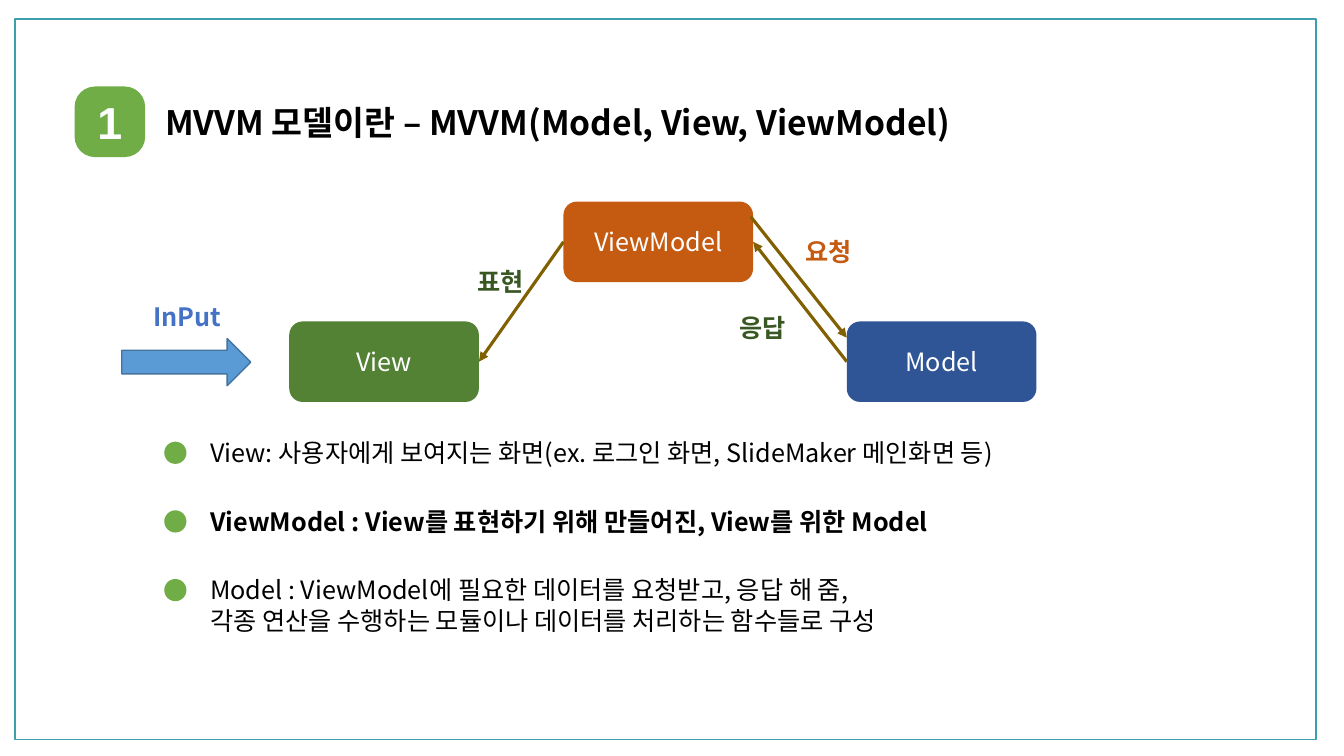
from dataclasses import dataclass

from lxml.etree import SubElement
from pptx import Presentation
from pptx.dml.color import RGBColor
from pptx.enum.shapes import MSO_CONNECTOR as CXN, MSO_SHAPE as SHP
from pptx.enum.text import MSO_ANCHOR, MSO_AUTO_SIZE, PP_ALIGN
from pptx.oxml.ns import qn
from pptx.shapes.autoshape import Shape
from pptx.shapes.connector import Connector
from pptx.slide import Slide
from pptx.util import Cm, Pt


@dataclass(frozen=True)
class Theme:
    font: str = "Noto Sans CJK KR"
    badge_font: str = "Arial"
    title_size: float = 24
    badge_size: float = 32
    body_size: float = 18
    thin: float = 1
    thick: float = 2.25
    white: str = "FFFFFF"
    black: str = "000000"
    frame: str = "3D9FAC"
    accent: str = "70AD47"
    view: str = "548235"
    view_model: str = "C55A11"
    model: str = "2F5597"
    link: str = "806000"
    reply: str = "385723"
    arrow: str = "5B9BD5"
    arrow_line: str = "43739E"
    input: str = "4472C4"


T = Theme()


@dataclass(frozen=True)
class Box:
    x: float
    y: float
    w: float
    h: float


@dataclass(frozen=True)
class Node:
    text: str
    x: float
    y: float
    color: str


@dataclass(frozen=True)
class Label:
    text: str
    box: Box
    color: str = T.black
    size: float = T.body_size
    bold: bool = True


NODE_W, NODE_H = 4.78, 2.03
TOP, LEFT, BOTTOM, RIGHT = range(4)
NODES = (
    Node("View", 7.29, 8.1, T.view),
    Node("ViewModel", 14.2, 5.08, T.view_model),
    Node("Model", 21.34, 8.1, T.model),
)
LABELS = (
    Label("MVVM 모델이란 – MVVM(Model, View, ViewModel)",
          Box(3.91, 2.44, 22.76, 1.27), size=T.title_size),
    Label("InPut", Box(3.61, 7.47, 21.18, 1.02), T.input),
    Label("표현", Box(11.79, 6.58, 4.7, 1.02), T.reply),
    Label("요청", Box(20.04, 5.82, 4.7, 1.02), T.view_model),
    Label("응답", Box(18.39, 7.75, 4.7, 1.02), T.reply),
)
BULLET_Y, BULLET_STEP = 10.9, 1.73
DOT_X, DOT_DY, DOT_SIZE = 4.14, 0.23, 0.56
BULLETS = (
    ("View: 사용자에게 보여지는 화면(ex. 로그인 화면, SlideMaker 메인화면 등)", False),
    ("ViewModel : View를 표현하기 위해 만들어진, View를 위한 Model", True),
    ("Model : ViewModel에 필요한 데이터를 요청받고, 응답 해 줌,\n"
     "각종 연산을 수행하는 모듈이나 데이터를 처리하는 함수들로 구성", False),
)


def write(shape: Shape, text: str, size: float, color: str, bold: bool = False,
          font: str = T.font, align: PP_ALIGN = PP_ALIGN.LEFT) -> None:
    tf = shape.text_frame
    tf.word_wrap = True
    for i, line in enumerate(text.split("\n")):
        p = tf.add_paragraph() if i else tf.paragraphs[0]
        p.alignment = align
        r = p.add_run()
        r.text = line
        for name, value in {"name": font, "size": Pt(size), "bold": bold}.items():
            setattr(r.font, name, value)
        r.font.color.rgb = RGBColor.from_string(color)
        SubElement(r.font._element, qn("a:ea"), typeface=font)


def add_shape(s: Slide, kind: SHP, box: Box, fill: str | None = None,
              line: str | None = None) -> Shape:
    sp = s.shapes.add_shape(kind, Cm(box.x), Cm(box.y), Cm(box.w), Cm(box.h))
    sp.shadow.inherit = False
    if fill:
        sp.fill.solid()
        sp.fill.fore_color.rgb = RGBColor.from_string(fill)
    else:
        sp.fill.background()
    if line:
        sp.line.color.rgb = RGBColor.from_string(line)
        sp.line.width = Pt(T.thin)
    else:
        sp.line.fill.background()
    return sp


def add_label(s: Slide, label: Label) -> None:
    b = label.box
    sp = s.shapes.add_textbox(Cm(b.x), Cm(b.y), Cm(b.w), Cm(b.h))
    write(sp, label.text, label.size, label.color, label.bold)
    sp.text_frame.auto_size = MSO_AUTO_SIZE.SHAPE_TO_FIT_TEXT


def add_centred(s: Slide, box: Box, fill: str, text: str, size: float,
                bold: bool = False, font: str = T.font) -> Shape:
    sp = add_shape(s, SHP.ROUNDED_RECTANGLE, box, fill)
    sp.text_frame.vertical_anchor = MSO_ANCHOR.MIDDLE
    write(sp, text, size, T.white, bold, font, PP_ALIGN.CENTER)
    return sp


def add_link(s: Slide, x1: float = 0, y1: float = 0, x2: float = 0,
             y2: float = 0) -> Connector:
    cx = s.shapes.add_connector(CXN.STRAIGHT, Cm(x1), Cm(y1), Cm(x2), Cm(y2))
    cx.line.color.rgb = RGBColor.from_string(T.link)
    cx.line.width = Pt(T.thick)
    SubElement(cx.line._get_or_add_ln(), qn("a:tailEnd"), type="triangle")
    SubElement(cx._element.spPr, qn("a:effectLst"))
    return cx


def join(s: Slide, start: Shape, end: Shape) -> None:
    cx = add_link(s)
    cx.begin_connect(start, LEFT)
    cx.end_connect(end, RIGHT)


def main() -> None:
    prs = Presentation()
    prs.slide_width, prs.slide_height = Cm(33.87), Cm(19.05)
    s = prs.slides.add_slide(prs.slide_layouts[6])

    add_shape(s, SHP.RECTANGLE, Box(0.38, 0.48, 32.79, 18.16), line=T.frame)
    badge = add_centred(s, Box(1.88, 2.18, 1.78, 1.78), T.accent, "1",
                        T.badge_size, True, T.badge_font)
    badge.adjustments[0] = 0.29

    view, view_model, model = (
        add_centred(s, Box(n.x, n.y, NODE_W, NODE_H), n.color, n.text, T.body_size)
        for n in NODES
    )
    join(s, model, view_model)
    join(s, view_model, view)
    add_link(s, 18.92, 5.46, 21.34, 8.51)

    for i, (text, bold) in enumerate(BULLETS):
        y = BULLET_Y + i * BULLET_STEP
        height = 1.02 + 0.78 * text.count("\n")
        add_label(s, Label(text, Box(5.05, y, 26.11, height), bold=bold))
        add_shape(s, SHP.OVAL, Box(DOT_X, y + DOT_DY, DOT_SIZE, DOT_SIZE), T.accent)

    add_shape(s, SHP.RIGHT_ARROW, Box(3.07, 8.53, 3.25, 1.19), T.arrow, T.arrow_line)
    for label in LABELS:
        add_label(s, label)
    prs.save("out.pptx")


if __name__ == "__main__":
    main()
